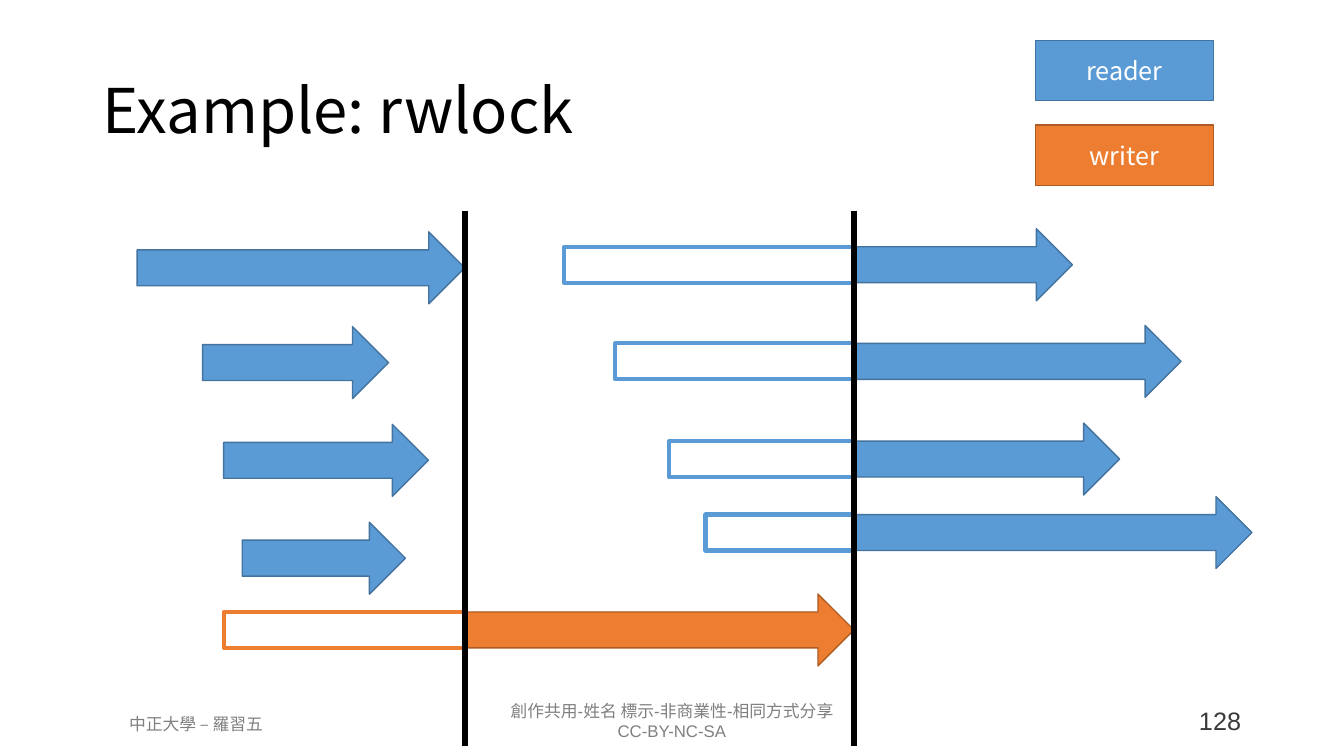
import pptx
import pptx.util
import pptx.dml.color
import pptx.enum.shapes
import pptx.enum.text
from lxml import etree

Pt = pptx.util.Pt
RGB = pptx.dml.color.RGBColor.from_string
KIND = pptx.enum.shapes.MSO_SHAPE
ALIGN = pptx.enum.text.PP_ALIGN
MID = pptx.enum.text.MSO_ANCHOR.MIDDLE
NOTO = "Noto Sans CJK SC"

COLORS = {
    "reader": "5B9BD5", "reader edge": "43739E",
    "writer": "ED7D31", "writer edge": "AF5C24",
    "black": "000000", "white": "FFFFFF",
    "gray": "808080", "dark": "3B3838",
}

deck = pptx.Presentation()
deck.slide_width, deck.slide_height = Pt(960), Pt(540)
slide = deck.slides.add_slide(deck.slide_layouts[6])
shapes = slide.shapes


def write(shape, text, size, font, color, align):
    frame = shape.text_frame
    frame.word_wrap = True
    frame.text = text
    for para in frame.paragraphs:
        para.alignment = align
        for run in para.runs:
            run.font.size = Pt(size)
            run.font.name = font
            run.font.color.rgb = RGB(COLORS[color])
    return frame


def block(kind, left, top, width, height, role, solid=True):
    shape = shapes.add_shape(kind, Pt(left), Pt(top), Pt(width), Pt(height))
    shape.shadow.inherit = False
    if solid:
        shape.fill.solid()
        shape.fill.fore_color.rgb = RGB(COLORS[role])
    else:
        shape.fill.background()
    shape.line.color.rgb = RGB(COLORS[role + " edge" if solid else role])
    shape.line.width = Pt(1 if solid else 3)
    return shape


# Footer, page number and title
texts = [
    ("創作共用-姓名 標示-非商業性-相同方式分享\nCC-BY-NC-SA",
     303, 496.8, 354, 36, 12, "Arial", "gray", ALIGN.CENTER),
    ("中正大學 – 羅習五", 49.7, 506.2, 180.7, 21.6, 12, "Arial", "gray", ALIGN.CENTER),
    ("128", 717, 500.4, 176.5, 28.8, 18, "Arial", "dark", ALIGN.RIGHT),
    ("Example: rwlock", 66, 28.8, 828, 104.4, 44, NOTO, "black", ALIGN.LEFT),
]
for text, left, top, width, height, size, font, color, align in texts:
    box = shapes.add_textbox(Pt(left), Pt(top), Pt(width), Pt(height))
    frame = write(box, text, size, font, color, align)
frame.vertical_anchor = MID
frame.paragraphs[0].line_spacing = 0.9

# Locks: role, wait start (or None), run start, run end, top
FIRST, SECOND = 332, 610
TALL, THIN = 51.4, 25.7
locks = [
    ("reader", None, 98, FIRST, 165.6),
    ("reader", None, 144.7, 277.5, 233.3),
    ("reader", None, 159.8, 306, 303.1),
    ("reader", None, 173, 289.6, 373),
    ("writer", 160, FIRST, SECOND, 424.3),
    ("reader", 403, SECOND, 766, 163.4),
    ("reader", 439.5, SECOND, 843.7, 232.4),
    ("reader", 478, SECOND, 799.8, 302.2),
    ("reader", 504, SECOND, 894.3, 354.7),
]
for role, wait, start, end, top in locks:
    if wait:
        block(KIND.RECTANGLE, wait, top + (TALL - THIN) / 2, start - wait, THIN, role, False)
    block(KIND.RIGHT_ARROW, start, top, end - start, TALL, role)

# Time marks where the lock changes hands
for x in (FIRST, SECOND):
    mark = shapes.add_connector(
        pptx.enum.shapes.MSO_CONNECTOR.STRAIGHT, Pt(x), Pt(150.7), Pt(x), Pt(532.8))
    mark.line.color.rgb = RGB(COLORS["black"])
    mark.line.width = Pt(4.5)
    etree.SubElement(mark._element.spPr, pptx.oxml.ns.qn("a:effectLst"))

# Legend
for row, role in enumerate(("reader", "writer")):
    key = block(KIND.RECTANGLE, 739.5, 28.8 + 60.5 * row, 127.4, 43.2, role)
    write(key, role, 18, NOTO, "white", ALIGN.CENTER).vertical_anchor = MID

deck.save("out.pptx")
